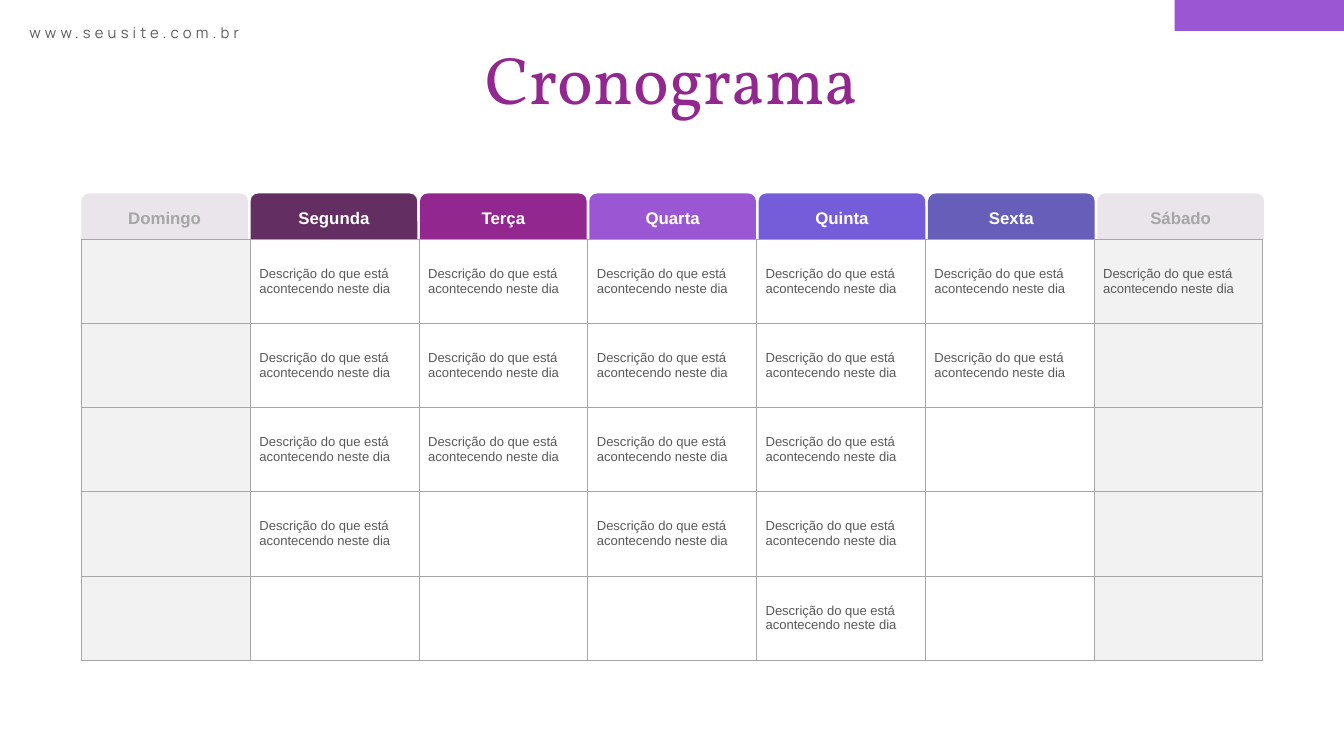
from lxml.etree import SubElement
from pptx import Presentation
from pptx.dml.color import RGBColor
from pptx.enum.shapes import MSO_SHAPE
from pptx.enum.text import MSO_ANCHOR, PP_ALIGN
from pptx.oxml.ns import qn
from pptx.util import Inches, Pt

DAYS = [  # name, tab fill, text colour, column fill
    ("Domingo", "EAE5EB", "A6A6A6", "F2F2F2"),
    ("Segunda", "632E62", "FFFFFF", "FFFFFF"),
    ("Terça", "92278F", "FFFFFF", "FFFFFF"),
    ("Quarta", "9B57D3", "FFFFFF", "FFFFFF"),
    ("Quinta", "755DD9", "FFFFFF", "FFFFFF"),
    ("Sexta", "665EB8", "FFFFFF", "FFFFFF"),
    ("Sábado", "EAE5EB", "A6A6A6", "F2F2F2"),
]
DESCRIPTION = "Descrição do que está acontecendo neste dia"
BUSY_DAYS = [  # day columns with a description, week by week
    (1, 2, 3, 4, 5, 6),
    (1, 2, 3, 4, 5),
    (1, 2, 3, 4),
    (1, 3, 4),
    (4,),
]
SLIDE_WIDTH = 10
SLIDE_HEIGHT = SLIDE_WIDTH * 9 / 16
GRID_TOP, GRID_WIDTH, GRID_HEIGHT = 1.78, 8.79, 3.13
GRID_LEFT = (SLIDE_WIDTH - GRID_WIDTH) / 2
TAB_WIDTH, TAB_HEIGHT, TAB_PITCH = 1.24, 0.34, 1.26
BORDER_COLOR, BORDER_WIDTH = "A6A6A6", 0.25


def color(value):
    return RGBColor.from_string(value)


def format_text(text_frame, font_name, size, text_color, align=PP_ALIGN.LEFT, bold=False):
    paragraph = text_frame.paragraphs[0]
    paragraph.alignment = align
    font = paragraph.runs[0].font
    font.name, font.size, font.bold = font_name, Pt(size), bold
    font.color.rgb = color(text_color)


def add_block(slide, kind, box, fill):
    shape = slide.shapes.add_shape(kind, *map(Inches, box))
    shape.shadow.inherit = False
    shape.fill.solid()
    shape.fill.fore_color.rgb = color(fill)
    shape.line.fill.background()
    return shape


def add_text(slide, box, text, *style):
    text_frame = slide.shapes.add_textbox(*map(Inches, box)).text_frame
    text_frame.word_wrap = False
    text_frame.text = text
    format_text(text_frame, *style)
    return text_frame


def add_borders(cell):
    """Line all four sides; the lines must precede the fill in the XML."""
    properties = cell._tc.get_or_add_tcPr()
    for side in ("a:lnL", "a:lnR", "a:lnT", "a:lnB"):
        line = SubElement(properties, qn(side), w=str(Pt(BORDER_WIDTH)))
        SubElement(SubElement(line, qn("a:solidFill")), qn("a:srgbClr"), val=BORDER_COLOR)


def add_day_tabs(slide):
    for column, (name, fill, text_color, _) in enumerate(DAYS):
        box = (GRID_LEFT + column * TAB_PITCH, GRID_TOP - TAB_HEIGHT, TAB_WIDTH, TAB_HEIGHT)
        tab = add_block(slide, MSO_SHAPE.ROUND_2_SAME_RECTANGLE, box, fill)
        tab.text_frame.text = name
        tab.text_frame.vertical_anchor = MSO_ANCHOR.MIDDLE
        format_text(tab.text_frame, "Arial", 9, text_color, PP_ALIGN.CENTER, True)


def add_calendar(slide):
    box = (GRID_LEFT, GRID_TOP, GRID_WIDTH, GRID_HEIGHT)
    table = slide.shapes.add_table(len(BUSY_DAYS), len(DAYS), *map(Inches, box)).table
    table.first_row = table.horz_banding = False
    for row, busy in enumerate(BUSY_DAYS):
        for column, day in enumerate(DAYS):
            cell = table.cell(row, column)
            add_borders(cell)
            cell.fill.solid()
            cell.fill.fore_color.rgb = color(day[3])
            cell.vertical_anchor = MSO_ANCHOR.MIDDLE
            cell.margin_left = cell.margin_right = Inches(0.07)
            cell.margin_top = cell.margin_bottom = Inches(0.04)
            if column in busy:
                cell.text_frame.text = DESCRIPTION
                format_text(cell.text_frame, "Arial", 7, "595959")


def main():
    presentation = Presentation()
    presentation.slide_width = Inches(SLIDE_WIDTH)
    presentation.slide_height = Inches(SLIDE_HEIGHT)
    slide = presentation.slides.add_slide(presentation.slide_layouts[6])

    add_day_tabs(slide)
    add_calendar(slide)
    add_block(slide, MSO_SHAPE.RECTANGLE, (SLIDE_WIDTH - 1.26, 0, 1.26, 0.23), "9B57D3")
    add_text(slide, (3.47, 0.23, 3.06, 0.71), "Cronograma",
             "Vollkorn", 36, "92278F", PP_ALIGN.CENTER)
    website = add_text(slide, (0.12, 0.13, 1.81, 0.24), "www.seusite.com.br",
                       "Manrope", 8, "5C5C5C")
    website.paragraphs[0].runs[0].font._element.set("spc", "220")

    presentation.save("out.pptx")


if __name__ == "__main__":
    main()
